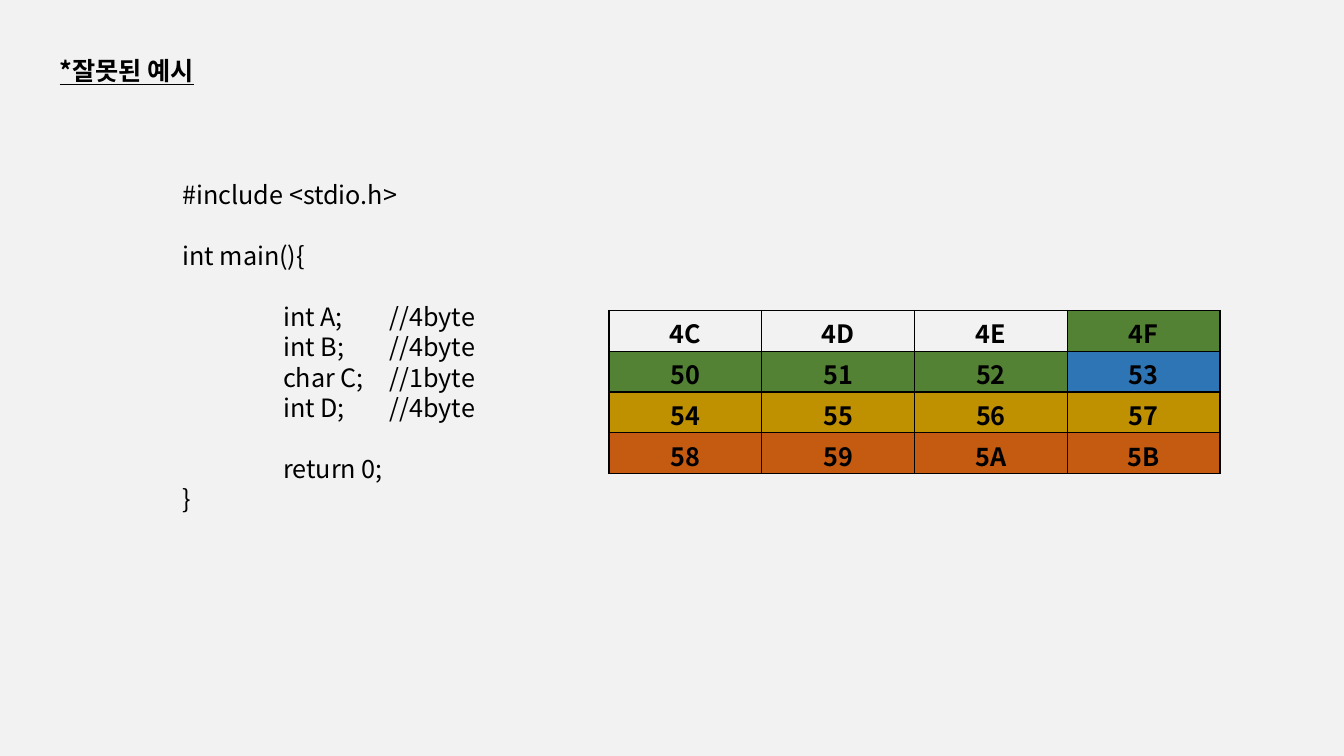
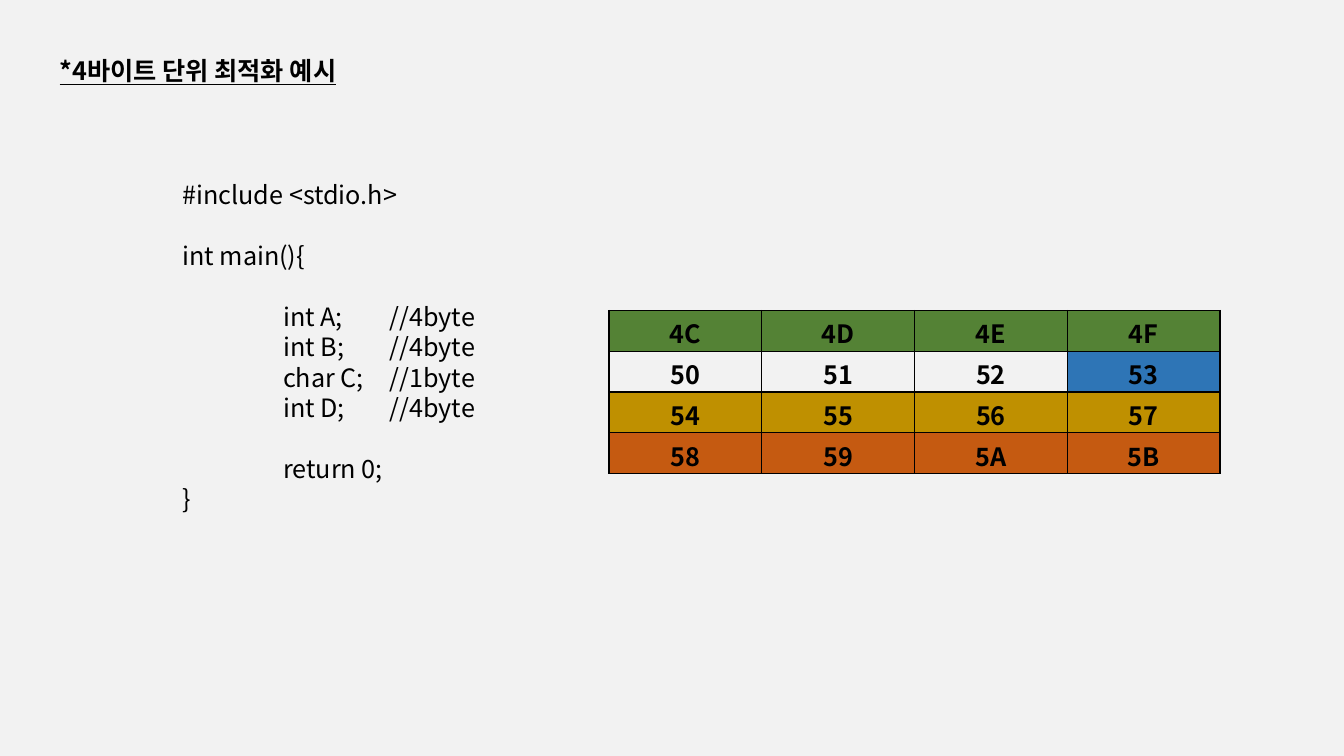
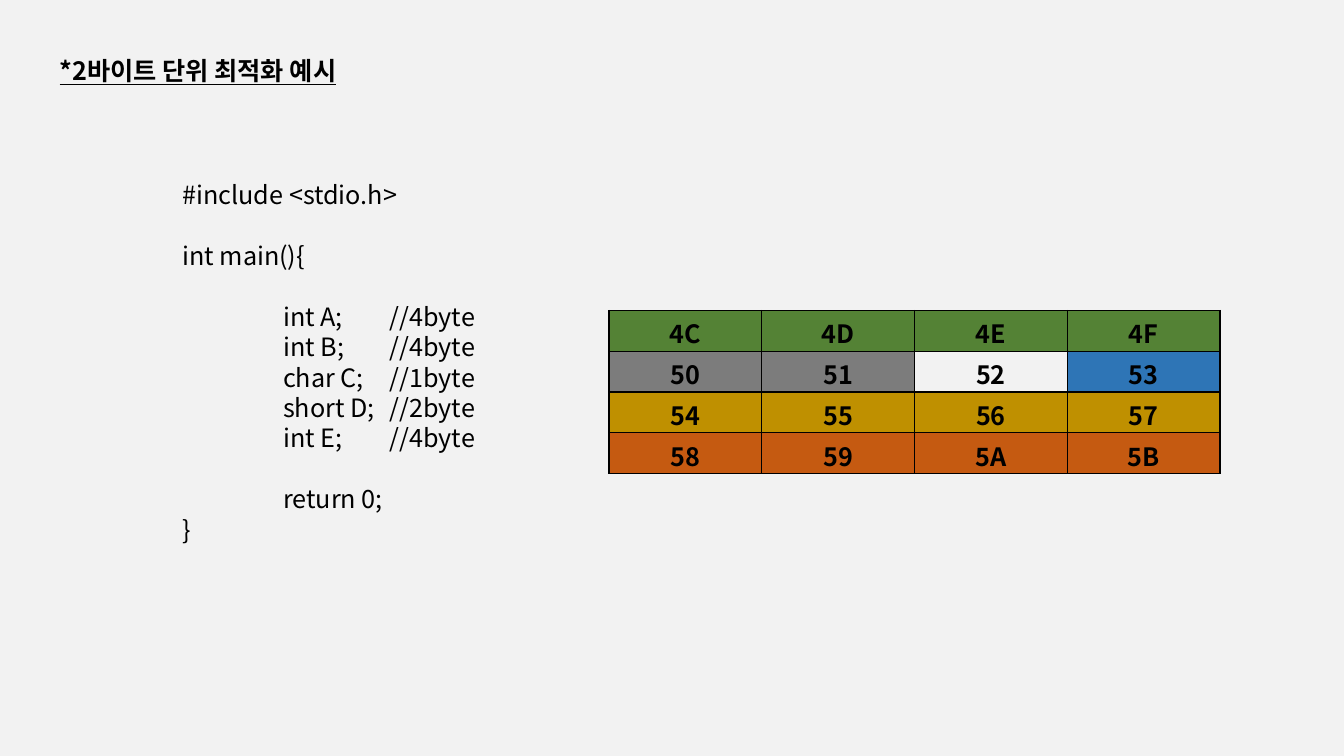
"""Build three slides that show how variables are laid out in memory."""
from dataclasses import dataclass

from lxml.etree import SubElement
from pptx import Presentation
from pptx.dml.color import RGBColor
from pptx.enum.text import MSO_ANCHOR, MSO_AUTO_SIZE, PP_ALIGN
from pptx.oxml.ns import qn
from pptx.util import Inches, Pt


@dataclass(frozen=True)
class Theme:
    font: str = "Noto Sans CJK KR"
    size: float = 18
    line_pitch: float = 21.7
    border: float = 1
    ink: str = "000000"
    paper: str = "F2F2F2"


THEME = Theme()
FILLS = {
    "free": THEME.paper,
    "green": "548235",
    "blue": "2E75B6",
    "gold": "BF9000",
    "orange": "C55A11",
    "gray": "7C7C7C",
}
SLIDE_SIZE = (13.33, 7.5)
TITLE_AT = (0.49, 0.5)
TITLE_HEIGHT = 0.4
CODE_AT = (1.71, 1.73)
CODE_WIDTH = 6.67
CODE_TABS = (1, 2)
TABLE_AT = (6.04, 3.08)
TABLE_SIZE = (6.06, 1.62)
COLUMNS = 4
FIRST_ADDRESS = 0x4C

FOUR_VARIABLES = [("int A", 4), ("int B", 4), ("char C", 1), ("int D", 4)]
FIVE_VARIABLES = FOUR_VARIABLES[:3] + [("short D", 2), ("int E", 4)]

SLIDES = [
    {
        "title": "*잘못된 예시",
        "title_width": 3.29,
        "variables": FOUR_VARIABLES,
        "memory": [("free", 3), ("green", 4), ("blue", 1), ("gold", 4), ("orange", 4)],
    },
    {
        "title": "*4바이트 단위 최적화 예시",
        "title_width": 3.29,
        "variables": FOUR_VARIABLES,
        "memory": [("green", 4), ("free", 3), ("blue", 1), ("gold", 4), ("orange", 4)],
    },
    {
        "title": "*2바이트 단위 최적화 예시",
        "title_width": 4.83,
        "variables": FIVE_VARIABLES,
        "memory": [("green", 4), ("gray", 2), ("free", 1), ("blue", 1),
                   ("gold", 4), ("orange", 4)],
    },
]


def inches(*lengths):
    """Convert plain numbers to slide lengths."""
    return [Inches(length) for length in lengths]


def style_paragraph(paragraph, bold=False, underline=False):
    """Give every run of a paragraph the shared type style."""
    for run in paragraph.runs:
        font = run.font
        font.name, font.size = THEME.font, Pt(THEME.size)
        font.bold, font.underline = bold, underline
        font.color.rgb = RGBColor.from_string(THEME.ink)
        SubElement(font._element, qn("a:ea"), typeface=THEME.font)


def add_title(slide, text, width):
    """Place the underlined heading in the title placeholder."""
    title = slide.shapes.title
    title.left, title.top, title.width, title.height = inches(*TITLE_AT, width, TITLE_HEIGHT)
    frame = title.text_frame
    frame.text = text
    frame.auto_size = MSO_AUTO_SIZE.NONE
    frame.vertical_anchor = MSO_ANCHOR.TOP
    paragraph = frame.paragraphs[0]
    paragraph.alignment = PP_ALIGN.LEFT
    paragraph.line_spacing = Pt(THEME.line_pitch)
    style_paragraph(paragraph, bold=True, underline=True)
    paragraph.runs[0].font._element.set("kern", "0")


def add_tab_stops(paragraph):
    """Set the tab stops that align declarations and comments."""
    stops = SubElement(paragraph._p.get_or_add_pPr(), qn("a:tabLst"))
    for position in inches(*CODE_TABS):
        SubElement(stops, qn("a:tab"), pos=str(position), algn="l")


def add_code(slide, variables):
    """Write the program, with a one-line gap before each block."""
    declarations = [f"\t{name};\t //{size}byte" for name, size in variables]
    blocks = [["#include <stdio.h>"], ["int main(){"], declarations, ["\treturn 0;", "}"]]
    line_count = sum(map(len, blocks)) + len(blocks) - 1
    height = line_count * THEME.line_pitch / 72 + 0.1
    frame = slide.shapes.add_textbox(*inches(*CODE_AT, CODE_WIDTH, height)).text_frame
    frame.word_wrap = True
    frame.text = "\n".join(line for block in blocks for line in block)
    block_starts = {sum(map(len, blocks[:index])) for index in range(1, len(blocks))}
    for index, paragraph in enumerate(frame.paragraphs):
        paragraph.line_spacing = Pt(THEME.line_pitch)
        paragraph.space_before = Pt(THEME.line_pitch if index in block_starts else 0)
        add_tab_stops(paragraph)
        style_paragraph(paragraph)


def add_borders(cell):
    """Draw a thin line on all four sides of a cell."""
    properties = cell._tc.get_or_add_tcPr()
    for side in ("a:lnL", "a:lnR", "a:lnT", "a:lnB"):
        line = SubElement(properties, qn(side), w=str(Pt(THEME.border)))
        SubElement(SubElement(line, qn("a:solidFill")), qn("a:srgbClr"), val=THEME.ink)


def add_memory(slide, memory):
    """Draw the bytes as a grid, coloured by the variable that holds them."""
    byte_fills = [FILLS[name] for name, count in memory for _ in range(count)]
    rows = len(byte_fills) // COLUMNS
    table = slide.shapes.add_table(rows, COLUMNS, *inches(*TABLE_AT, *TABLE_SIZE)).table
    for offset, (cell, fill) in enumerate(zip(table.iter_cells(), byte_fills)):
        add_borders(cell)
        cell.fill.solid()
        cell.fill.fore_color.rgb = RGBColor.from_string(fill)
        cell.margin_top, cell.margin_bottom = inches(0.04, 0)
        cell.text = f"{FIRST_ADDRESS + offset:X}"
        paragraph = cell.text_frame.paragraphs[0]
        paragraph.alignment = PP_ALIGN.CENTER
        style_paragraph(paragraph, bold=True)


def main():
    """Build and save the presentation."""
    presentation = Presentation()
    presentation.slide_width, presentation.slide_height = inches(*SLIDE_SIZE)
    background = presentation.slide_master.background.fill
    background.solid()
    background.fore_color.rgb = RGBColor.from_string(THEME.paper)
    title_only = presentation.slide_layouts[5]
    for content in SLIDES:
        slide = presentation.slides.add_slide(title_only)
        add_title(slide, content["title"], content["title_width"])
        add_code(slide, content["variables"])
        add_memory(slide, content["memory"])
    presentation.save("out.pptx")


if __name__ == "__main__":
    main()
